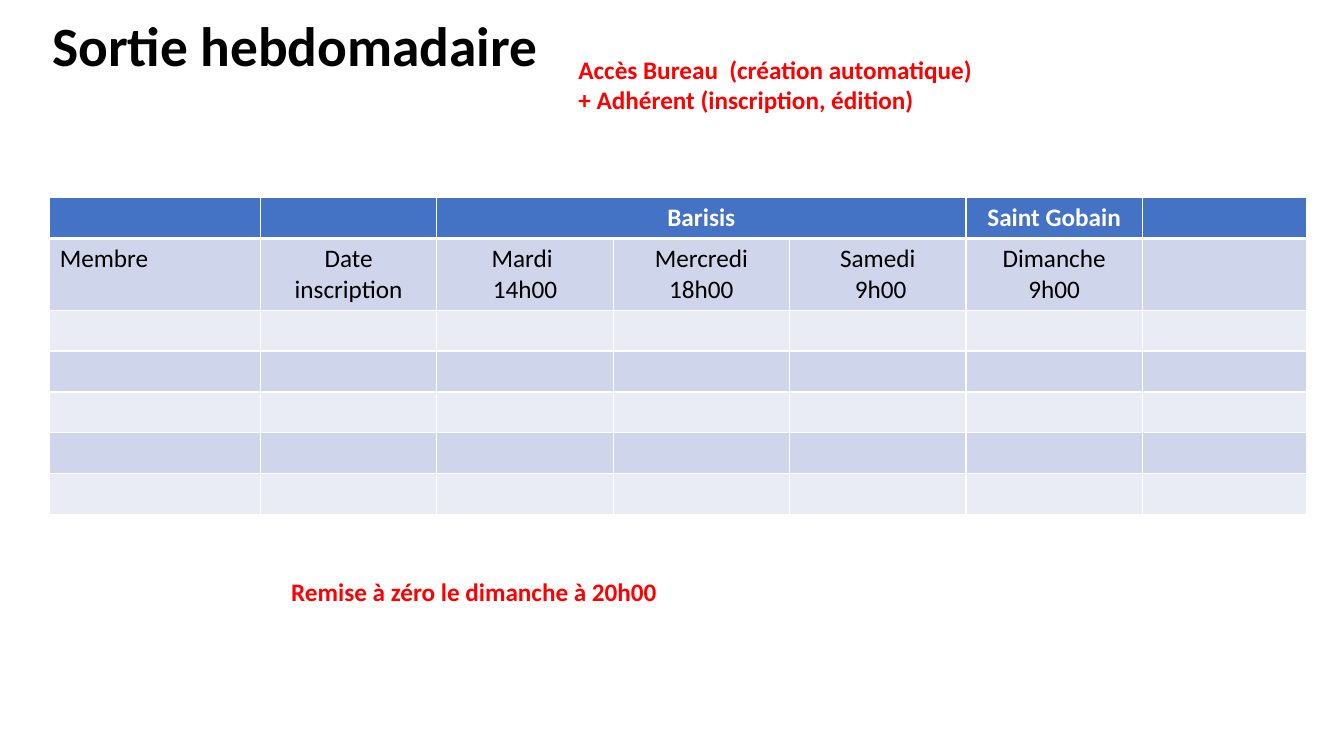
from dataclasses import dataclass

from lxml.etree import SubElement
from pptx import Presentation
from pptx.dml.color import RGBColor
from pptx.enum.text import MSO_ANCHOR, PP_ALIGN
from pptx.oxml.ns import qn
from pptx.slide import Slide
from pptx.table import _Cell
from pptx.text.text import TextFrame
from pptx.util import Pt

FONT = "Calibri"
COLORS = {
    "black": "000000",
    "white": "FFFFFF",
    "red": "FF0000",
    "header": "4472C4",
    "band_dark": "CFD5EA",
    "band_light": "E9EBF5",
}


@dataclass
class Label:
    lines: list[str]
    left: float
    top: float
    width: float
    height: float
    size: float = 18
    color: str = "red"
    anchor: MSO_ANCHOR = MSO_ANCHOR.TOP
    line_spacing: float = 1.0


LABELS = [
    Label(["Sortie hebdomadaire"], 30.24, 9.36, 414, 51.12, size=39.6,
          color="black", anchor=MSO_ANCHOR.MIDDLE, line_spacing=0.9),
    Label(["Accès Bureau  (création automatique)",
           "+ Adhérent (inscription, édition)"], 406.08, 35.28, 346.32, 51.12),
    Label(["Remise à zéro le dimanche à 20h00"], 200.88, 408.24, 286.56, 28.8),
]

TABLE_LEFT, TABLE_TOP = 35.5, 141.2
COL_WIDTHS = [150.5] + [126] * 5 + [117.4]
ROW_HEIGHTS = [29.2, 51] + [29.2] * 5
GROUPS = {2: "Barisis", 5: "Saint Gobain"}
GROUP_SPAN = (2, 4)
HEADINGS = [
    ["Membre"],
    ["Date inscription"],
    ["Mardi ", "14h00"],
    ["Mercredi 18h00"],
    ["Samedi", " 9h00"],
    ["Dimanche 9h00"],
]


def write_text(tf: TextFrame, lines: list[str], *, size: float = 18,
               color: str = "black", bold: bool = False,
               align: PP_ALIGN = PP_ALIGN.LEFT, line_spacing: float = 1.0) -> None:
    for i, line in enumerate(lines):
        p = tf.paragraphs[0] if i == 0 else tf.add_paragraph()
        p.alignment = align
        p.line_spacing = line_spacing
        r = p.add_run()
        r.text = line
        r.font.name = FONT
        r.font.size = Pt(size)
        r.font.bold = bold
        r.font.color.rgb = RGBColor.from_string(COLORS[color])


def add_label(s: Slide, label: Label) -> None:
    sp = s.shapes.add_textbox(Pt(label.left), Pt(label.top),
                              Pt(label.width), Pt(label.height))
    tf = sp.text_frame
    tf.word_wrap = True
    tf.vertical_anchor = label.anchor
    write_text(tf, label.lines, size=label.size, color=label.color, bold=True,
               line_spacing=label.line_spacing)


def style_cell(cell: _Cell, fill: str, top: float, bottom: float) -> None:
    """Set white borders (widths in points) and the fill of a cell."""
    tc_pr = cell._tc.get_or_add_tcPr()
    for side, width in (("L", 1), ("R", 1), ("T", top), ("B", bottom)):
        ln = SubElement(tc_pr, qn(f"a:ln{side}"), w=str(Pt(width)))
        solid = SubElement(ln, qn("a:solidFill"))
        SubElement(solid, qn("a:srgbClr"), val=COLORS["white"])
    cell.fill.solid()
    cell.fill.fore_color.rgb = RGBColor.from_string(COLORS[fill])


def add_schedule(s: Slide) -> None:
    table = s.shapes.add_table(
        len(ROW_HEIGHTS), len(COL_WIDTHS), Pt(TABLE_LEFT), Pt(TABLE_TOP),
        Pt(sum(COL_WIDTHS)), Pt(sum(ROW_HEIGHTS))).table
    for column, width in zip(table.columns, COL_WIDTHS):
        column.width = Pt(width)
    for i, (row, height) in enumerate(zip(table.rows, ROW_HEIGHTS)):
        row.height = Pt(height)
        fill = "header" if i == 0 else "band_dark" if i % 2 else "band_light"
        for cell in row.cells:
            style_cell(cell, fill, top=3 if i == 1 else 1,
                       bottom=3 if i == 0 else 1)

    first, last = GROUP_SPAN
    table.cell(0, first).merge(table.cell(0, last))
    for col, name in GROUPS.items():
        write_text(table.cell(0, col).text_frame, [name], color="white",
                   bold=True, align=PP_ALIGN.CENTER)
    for col, lines in enumerate(HEADINGS):
        write_text(table.cell(1, col).text_frame, lines,
                   align=PP_ALIGN.CENTER if col else PP_ALIGN.LEFT)


def main() -> None:
    prs = Presentation()
    prs.slide_width, prs.slide_height = Pt(960), Pt(540)
    s = prs.slides.add_slide(prs.slide_layouts[6])
    add_schedule(s)
    for label in LABELS:
        add_label(s, label)
    prs.save("out.pptx")


if __name__ == "__main__":
    main()
